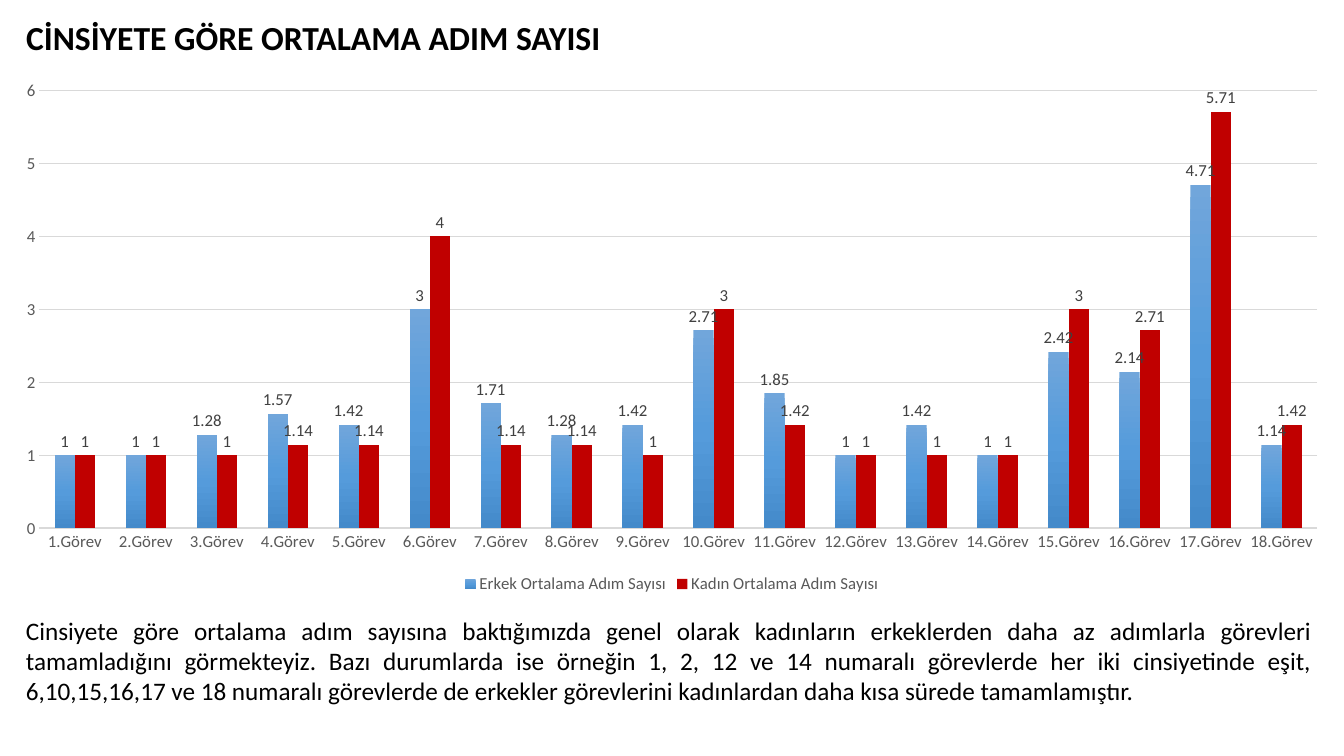
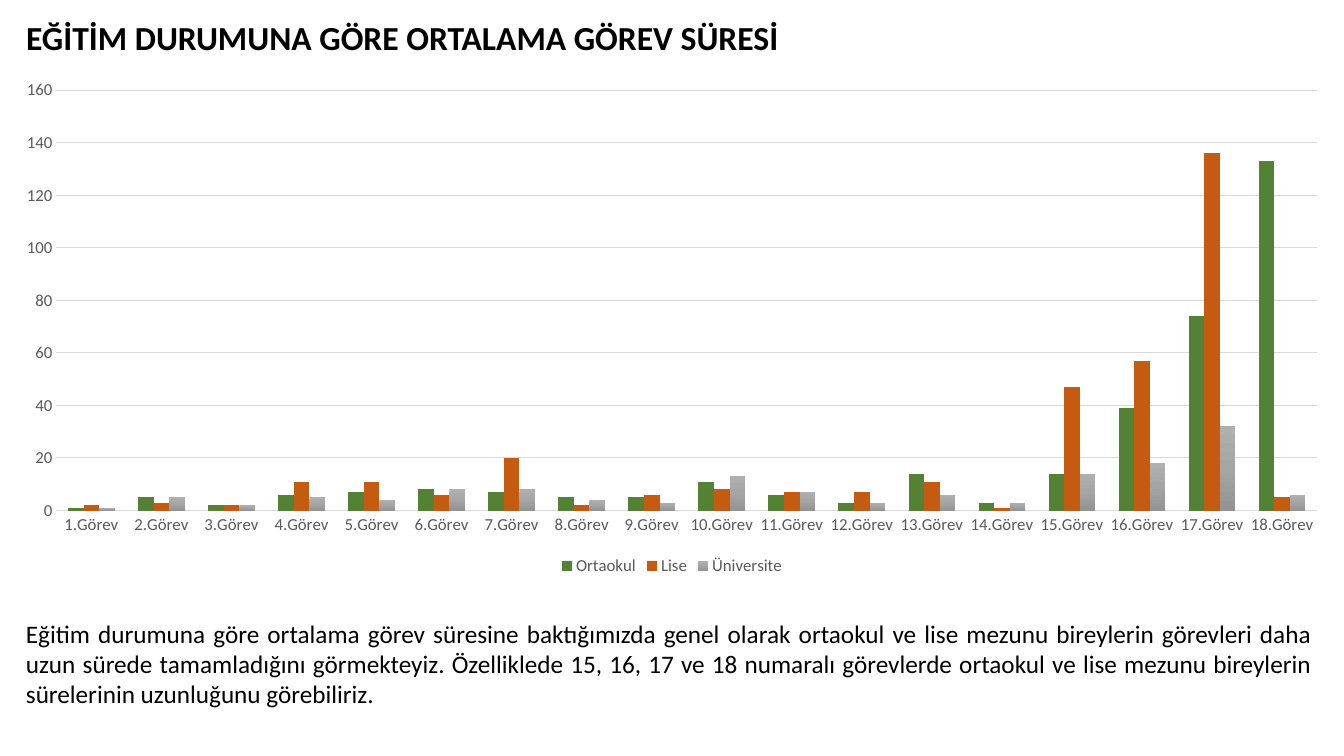
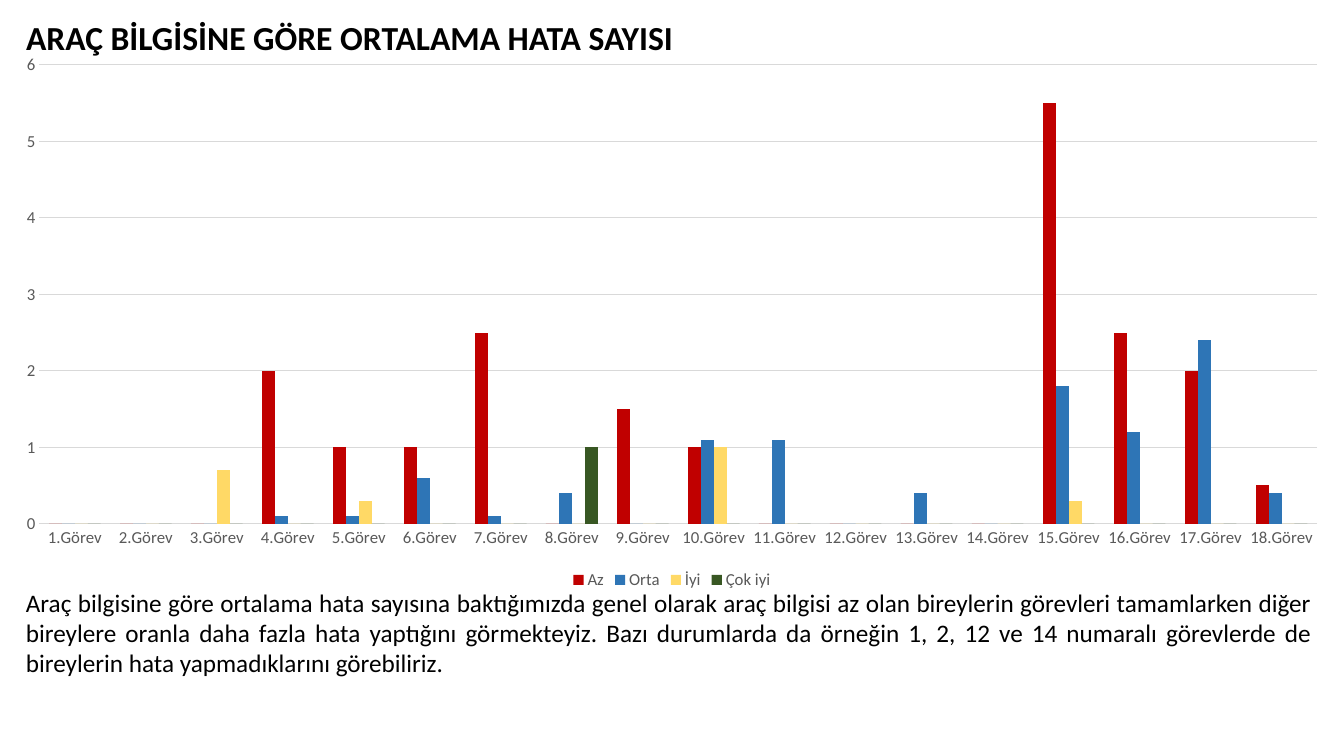
from copy import deepcopy

from pptx import Presentation
from pptx import util as u
from pptx.chart.data import CategoryChartData
from pptx.dml.color import RGBColor
from pptx.enum import chart as ch, text

TASKS = [f"{n}.Görev" for n in range(1, 19)]
BLUE = ("71A6DB", "559BDB", "448ACA")
GREY = ("AFAFAF", "A5A5A5", "939393")


def px(n):
    return u.Emu(round(n * 914400 / 100.8))


def rgb(color):
    return RGBColor.from_string(color)


def put(obj, **values):
    for name, value in values.items():
        setattr(obj, name, value)


class Deck:
    face = "Calibri"
    black, axis_text, label_text, rule = "000000", "595959", "404040", "D9D9D9"
    left, top = 16, 12

    def __init__(self, width, height):
        self.prs = Presentation()
        put(self.prs, slide_width=px(width), slide_height=px(height))
        self.width = width
        self.s = None

    def slide(self):
        self.s = self.prs.slides.add_slide(self.prs.slide_layouts[5])

    def font(self, font, size, color, bold=False):
        put(font, name=self.face, size=u.Pt(size), bold=bold)
        font.color.rgb = rgb(color)

    def set_text(self, sp, words, size, align, bold=False):
        tf = sp.text_frame
        put(tf, text=words, word_wrap=True, vertical_anchor=text.MSO_ANCHOR.TOP,
            auto_size=text.MSO_AUTO_SIZE.SHAPE_TO_FIT_TEXT)
        p = tf.paragraphs[0]
        p.alignment = align
        self.font(p.runs[0].font, size, self.black, bold)

    def title(self, words):
        sp = self.s.shapes.title
        put(sp, left=px(self.left), top=px(self.top), width=px(773), height=px(50))
        self.set_text(sp, words, 24, text.PP_ALIGN.LEFT, True)
        sp._element.getparent().append(sp._element)

    def body(self, top, words):
        sp = self.s.shapes.add_textbox(px(self.left), px(top), px(1306), px(102))
        self.set_text(sp, words, 18, text.PP_ALIGN.JUSTIFY)

    def paint(self, series, color):
        fill = series.format.fill
        if isinstance(color, str):
            fill.solid()
            fill.fore_color.rgb = rgb(color)
            return
        fill.gradient()
        fill.gradient_angle = 270
        stops = series._element.xpath(".//a:gsLst")[0]
        stops.append(deepcopy(stops[0]))
        for stop, shade, position in zip(fill.gradient_stops, color, (0, 0.5, 1)):
            stop.color.rgb = rgb(shade)
            stop.position = position

    def axes(self, chart, maximum, unit):
        cat, val = chart.category_axis, chart.value_axis
        for axis in (cat, val):
            put(axis, major_tick_mark=ch.XL_TICK_MARK.NONE,
                minor_tick_mark=ch.XL_TICK_MARK.NONE)
            self.font(axis.tick_labels.font, 12, self.axis_text)
        put(val, minimum_scale=0, maximum_scale=maximum, major_unit=unit,
            has_major_gridlines=True)
        val.format.line.fill.background()
        for line, weight in ((cat.format.line, 1), (val.major_gridlines.format.line, 0.75)):
            line.color.rgb = rgb(self.rule)
            line.width = u.Pt(weight)

    def columns(self, top, height, maximum, unit, groups, labels=False):
        data = CategoryChartData()
        data.categories = TASKS
        for name, _, values in groups:
            data.add_series(name, values)
        chart = self.s.shapes.add_chart(ch.XL_CHART_TYPE.COLUMN_CLUSTERED, px(0), px(top),
                                        px(self.width), px(height), data).chart
        put(chart, has_title=False, has_legend=True)
        self.font(chart.font, 10, self.black)
        put(chart.legend, position=ch.XL_LEGEND_POSITION.BOTTOM, include_in_layout=False)
        self.font(chart.legend.font, 12, self.axis_text)
        self.axes(chart, maximum, unit)
        plot = chart.plots[0]
        put(plot, gap_width=150, overlap=0, vary_by_categories=False)
        for series, (_, color, _) in zip(plot.series, groups):
            self.paint(series, color)
            if labels:
                put(series.data_labels, show_value=True,
                    position=ch.XL_LABEL_POSITION.OUTSIDE_END)
                self.font(series.data_labels.font, 12, self.label_text)


def main():
    d = Deck(1344, 756)

    d.slide()
    d.columns(70, 528, 6, 1, [
        ("Erkek Ortalama Adım Sayısı", BLUE,
         [1, 1, 1.28, 1.57, 1.42, 3, 1.71, 1.28, 1.42, 2.71, 1.85, 1, 1.42, 1,
          2.42, 2.14, 4.71, 1.14]),
        ("Kadın Ortalama Adım Sayısı", "C00000",
         [1, 1, 1, 1.14, 1.14, 4, 1.14, 1.14, 1, 3, 1.42, 1, 1, 1, 3, 2.71, 5.71, 1.42]),
    ], labels=True)
    d.title("CİNSİYETE GÖRE ORTALAMA ADIM SAYISI")
    d.body(610, "Cinsiyete göre ortalama adım sayısına baktığımızda genel olarak kadınların "
                "erkeklerden daha az adımlarla görevleri tamamladığını görmekteyiz. Bazı "
                "durumlarda ise örneğin 1, 2, 12 ve 14 numaralı görevlerde her iki cinsiyetinde "
                "eşit, 6,10,15,16,17 ve 18 numaralı görevlerde de erkekler görevlerini "
                "kadınlardan daha kısa sürede tamamlamıştır.")

    d.slide()
    d.columns(70, 510, 160, 20, [
        ("Ortaokul", "548235",
         [1, 5, 2, 6, 7, 8, 7, 5, 5, 11, 6, 3, 14, 3, 14, 39, 74, 133]),
        ("Lise", "C55A11",
         [2, 3, 2, 11, 11, 6, 20, 2, 6, 8, 7, 7, 11, 1, 47, 57, 136, 5]),
        ("Üniversite", GREY,
         [1, 5, 2, 5, 4, 8, 8, 4, 3, 13, 7, 3, 6, 3, 14, 18, 32, 6]),
    ])
    d.title("EĞİTİM DURUMUNA GÖRE ORTALAMA GÖREV SÜRESİ")
    d.body(613, "Eğitim durumuna göre ortalama görev süresine baktığımızda genel olarak ortaokul "
                "ve lise mezunu bireylerin görevleri daha uzun sürede tamamladığını görmekteyiz. "
                "Özelliklede 15, 16, 17 ve 18 numaralı görevlerde ortaokul ve lise mezunu "
                "bireylerin sürelerinin uzunluğunu görebiliriz.")

    d.slide()
    d.columns(44, 550, 6, 1, [
        ("Az", "C00000",
         [0, 0, 0, 2, 1, 1, 2.5, 0, 1.5, 1, 0, 0, 0, 0, 5.5, 2.5, 2, 0.5]),
        ("Orta", "2E75B6",
         [0, 0, 0, 0.1, 0.1, 0.6, 0.1, 0.4, 0, 1.1, 1.1, 0, 0.4, 0, 1.8, 1.2, 2.4, 0.4]),
        ("İyi", "FFD966",
         [0, 0, 0.7, 0, 0.3, 0, 0, 0, 0, 1, 0, 0, 0, 0, 0.3, 0, 0, 0]),
        ("Çok iyi", "385723",
         [0, 0, 0, 0, 0, 0, 0, 1, 0, 0, 0, 0, 0, 0, 0, 0, 0, 0]),
    ])
    d.title("ARAÇ BİLGİSİNE GÖRE ORTALAMA HATA SAYISI")
    d.body(582, "Araç bilgisine göre ortalama hata sayısına baktığımızda genel olarak araç bilgisi "
                "az olan bireylerin görevleri tamamlarken diğer bireylere oranla daha fazla hata "
                "yaptığını görmekteyiz. Bazı durumlarda da örneğin 1, 2, 12 ve 14 numaralı "
                "görevlerde de bireylerin hata yapmadıklarını görebiliriz.")

    d.prs.save("out.pptx")


if __name__ == "__main__":
    main()
